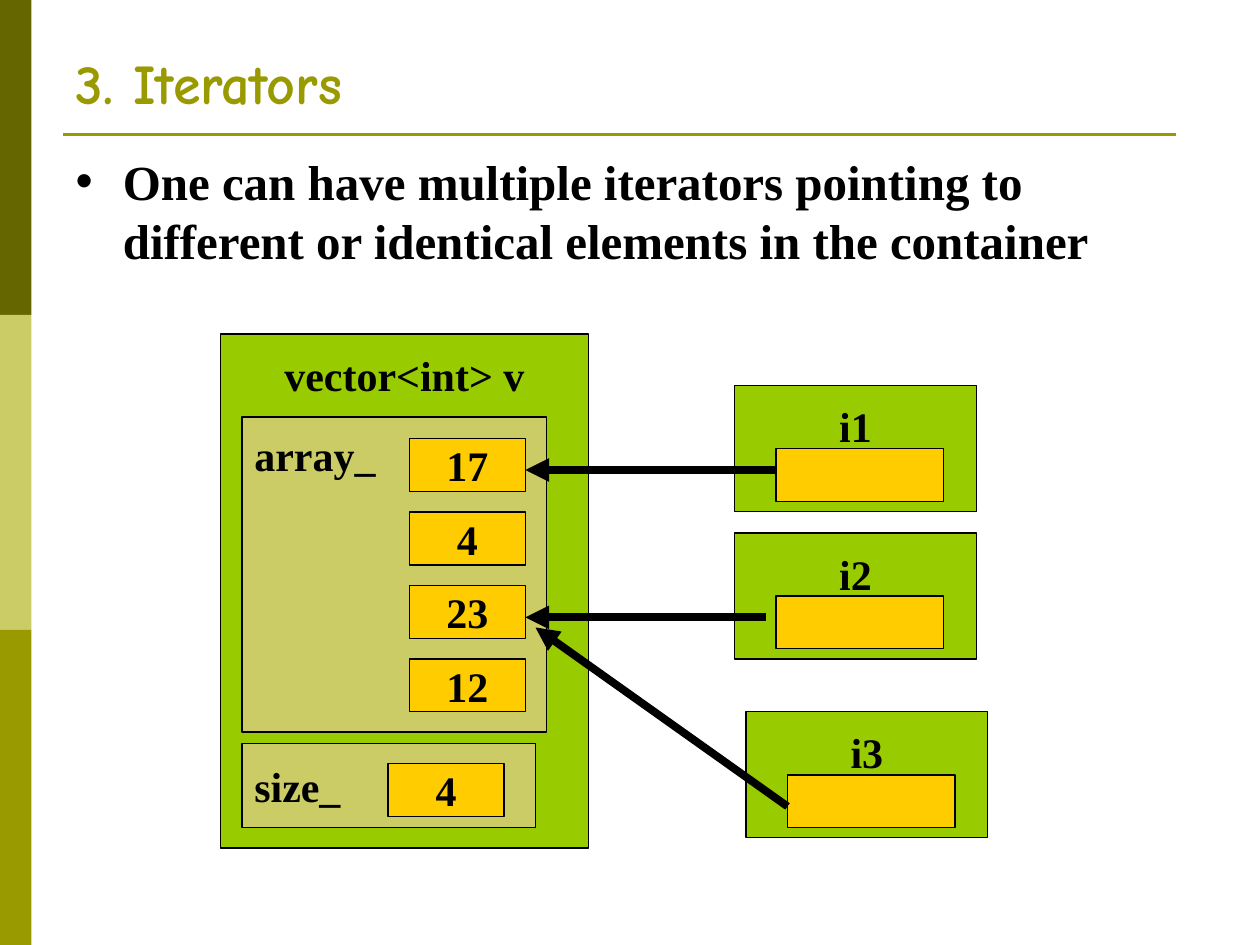
from lxml import etree
from pptx import Presentation
from pptx.dml.color import RGBColor
from pptx.enum import shapes, text
from pptx.oxml import ns
from pptx.util import Inches, Pt

DARK_OLIVE = RGBColor(0x66, 0x66, 0x00)
OLIVE = RGBColor(0x99, 0x99, 0x00)
SAND = RGBColor(0xCC, 0xCC, 0x66)
GREEN = RGBColor(0x99, 0xCC, 0x00)
GOLD = RGBColor(0xFF, 0xCC, 0x00)
BLACK = RGBColor(0, 0, 0)
LEFT, CENTER = text.PP_ALIGN.LEFT, text.PP_ALIGN.CENTER
TOP, MIDDLE, BOTTOM = text.MSO_ANCHOR.TOP, text.MSO_ANCHOR.MIDDLE, text.MSO_ANCHOR.BOTTOM


class SlideBuilder:
    title_font = "Comic Neue"
    body_font = "Times New Roman"
    cell_size = (0.92, 0.42)

    def __init__(self, page):
        self.page = page

    def label(self, box, words, font, size, color, align, anchor):
        frame = box.text_frame
        frame.vertical_anchor = anchor
        frame.auto_size = text.MSO_AUTO_SIZE.NONE
        frame.text = words
        para = frame.paragraphs[0]
        para.alignment = align
        para.space_before = Pt(0)
        para.font.name = font
        para.font.size = Pt(size)
        para.font.bold = True
        para.font.color.rgb = color

    def place(self, box, left, top, width, height):
        box.left, box.top = Inches(left), Inches(top)
        box.width, box.height = Inches(width), Inches(height)

    def title(self, words):
        box = self.page.shapes.title
        self.place(box, 0.5, 0.28, 9, 0.69)
        self.label(box, words, self.title_font, 32, OLIVE, LEFT, BOTTOM)

    def bullet(self, words):
        box = self.page.placeholders[1]
        self.place(box, 0.5, 1.15, 9, 1.18)
        properties = box.text_frame.paragraphs[0]._p.get_or_add_pPr()
        properties.set("marL", str(Inches(0.38)))
        properties.set("indent", str(-Inches(0.38)))
        color = etree.SubElement(properties, ns.qn("a:buClr"))
        etree.SubElement(color, ns.qn("a:srgbClr"), val=str(DARK_OLIVE))
        etree.SubElement(properties, ns.qn("a:buSzPct"), val="75000")
        etree.SubElement(properties, ns.qn("a:buChar"), char="◻")
        self.label(box, words, self.body_font, 28, BLACK, LEFT, TOP)

    def bar(self, left, top, width, height, fill):
        box = self.page.shapes.add_shape(
            shapes.MSO_SHAPE.RECTANGLE,
            Inches(left), Inches(top), Inches(width), Inches(height))
        box.shadow.inherit = False
        box.fill.solid()
        box.fill.fore_color.rgb = fill
        box.line.fill.background()
        return box

    def block(self, left, top, width, height, fill, words="",
              align=CENTER, anchor=MIDDLE, inset=0.05):
        box = self.bar(left, top, width, height, fill)
        box.line.color.rgb = BLACK
        box.line.width = Pt(0.75)
        if words:
            box.text_frame.margin_top = Inches(inset)
            box.text_frame.word_wrap = False
            self.label(box, words, self.body_font, 24, BLACK, align, anchor)

    def cell(self, left, top, words):
        self.block(left, top, *self.cell_size, GOLD, words)

    def iterator(self, left, top, name):
        self.block(left, top, 1.92, 1, GREEN, name, anchor=TOP, inset=0.12)
        self.block(left + 0.33, top + 0.5, 1.33, 0.42, GOLD)

    def line(self, start, end, color, width):
        line = self.page.shapes.add_connector(
            shapes.MSO_CONNECTOR.STRAIGHT,
            Inches(start[0]), Inches(start[1]), Inches(end[0]), Inches(end[1]))
        line.line.color.rgb = color
        line.line.width = Pt(width)
        etree.SubElement(line._element.spPr, ns.qn("a:effectLst"))
        return line

    def arrow(self, start, end):
        outline = self.line(start, end, BLACK, 4.5).get_or_add_ln()
        etree.SubElement(outline, ns.qn("a:tailEnd"), type="triangle")


def main():
    deck = Presentation()
    deck.slide_width, deck.slide_height = Inches(10), Inches(7.5)
    slide = SlideBuilder(deck.slides.add_slide(deck.slide_layouts[1]))

    for row, color in enumerate((DARK_OLIVE, SAND, OLIVE)):
        slide.bar(0, row * 2.5, 0.25, 2.5, color)
    slide.line((0.5, 1.07), (9.33, 1.07), OLIVE, 1.5)
    slide.title("3. Iterators")
    slide.bullet("One can have multiple iterators pointing to different or "
                 "identical elements in the container")

    slide.block(1.75, 2.65, 2.92, 4.08, GREEN, "vector<int> v",
                anchor=TOP, inset=0.12)
    slide.block(1.92, 3.31, 2.42, 2.5, SAND, "array_", LEFT, TOP, 0.1)
    for row, value in enumerate(("17", "4", "23", "12")):
        slide.cell(3.25, 3.48 + row * 1.75 / 3, value)
    slide.block(1.92, 5.9, 2.33, 0.67, SAND, "size_", LEFT)
    slide.cell(3.08, 6.06, "4")

    iterators = (
        ("i3", 5.92, 5.65, (6.25, 6.4), (4.25, 4.98)),
        ("i1", 5.83, 3.06, (6.17, 3.73), (4.17, 3.73)),
        ("i2", 5.83, 4.23, (6.08, 4.9), (4.17, 4.9)),
    )
    for name, left, top, start, end in iterators:
        slide.iterator(left, top, name)
        slide.arrow(start, end)

    deck.save("out.pptx")


if __name__ == "__main__":
    main()
